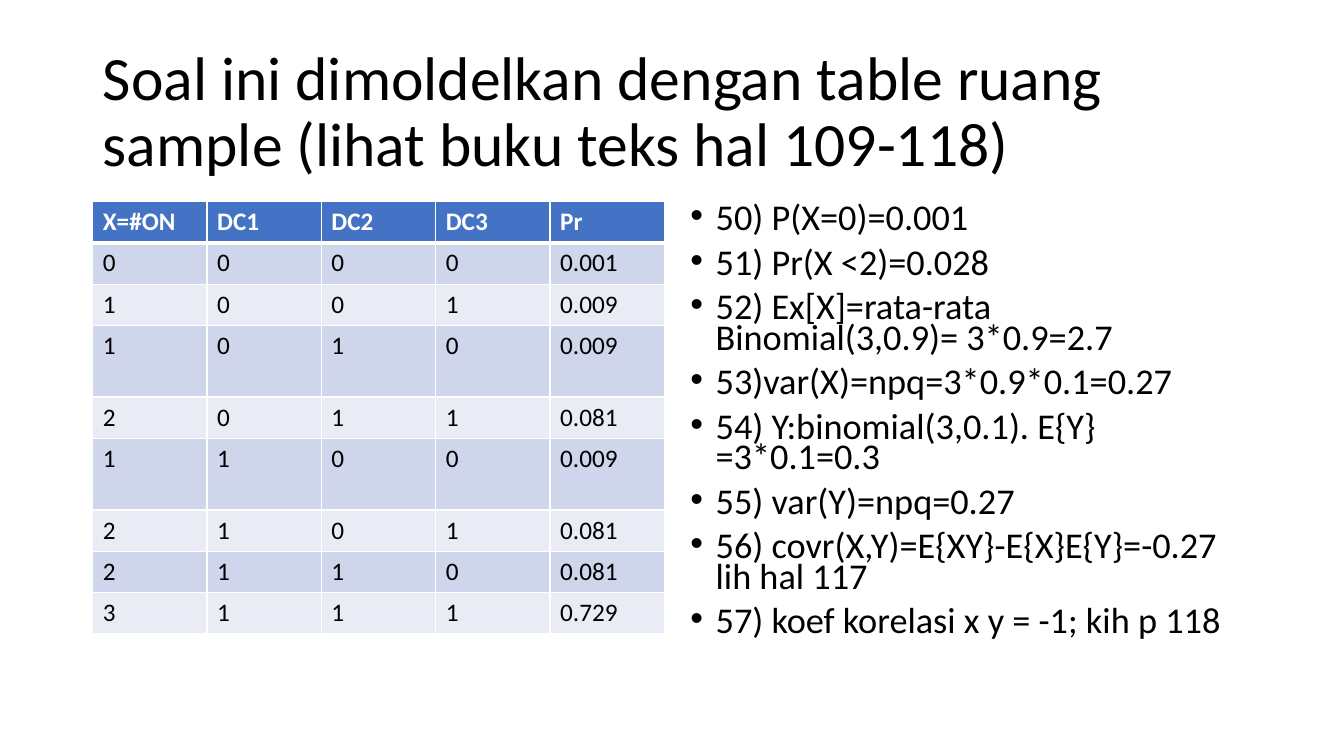
from lxml import etree
from pptx import Presentation
from pptx.dml.color import RGBColor
from pptx.enum.text import MSO_ANCHOR, MSO_AUTO_SIZE, PP_ALIGN
from pptx.oxml.ns import qn
from pptx.util import Inches, Pt

LEFT, MIDDLE, TOP = PP_ALIGN.LEFT, MSO_ANCHOR.MIDDLE, MSO_ANCHOR.TOP
NO_FIT = MSO_AUTO_SIZE.NONE
FONT = "Calibri"
COLORS = {"text": "000000", "white": "FFFFFF", "header": "4472C4",
          "band_dark": "CFD5EA", "band_light": "E9EBF5"}

# Two equal columns with a narrow gutter
MARGIN, COL_W, GUTTER = 0.92, 5.67, 0.16
CONTENT_TOP = 2
ROW_H, TALL_ROW_H = 0.41, 0.71
TALL_ROWS = (3, 5)

TITLE = "Soal ini dimoldelkan dengan table ruang sample (lihat buku teks hal 109-118)"
SAMPLE_SPACE = [
    ("X=#ON", "DC1", "DC2", "DC3", "Pr"),
    ("0", "0", "0", "0", "0.001"),
    ("1", "0", "0", "1", "0.009"),
    ("1", "0", "1", "0", "0.009"),
    ("2", "0", "1", "1", "0.081"),
    ("1", "1", "0", "0", "0.009"),
    ("2", "1", "0", "1", "0.081"),
    ("2", "1", "1", "0", "0.081"),
    ("3", "1", "1", "1", "0.729"),
]
ANSWERS = [
    "50) P(X=0)=0.001",
    "51) Pr(X <2)=0.028",
    "52) Ex[X]=rata-rata Binomial(3,0.9)= 3*0.9=2.7",
    "53)var(X)=npq=3*0.9*0.1=0.27",
    "54) Y:binomial(3,0.1). E{Y}=3*0.1=0.3",
    "55) var(Y)=npq=0.27",
    "56) covr(X,Y)=E{XY}-E{X}E{Y}=-0.27 lih hal 117",
    "57) koef korelasi x y = -1; kih p 118",
]


def rgb(name):
    return RGBColor.from_string(COLORS[name])


def style(p, size, color="text", bold=False):
    p.alignment = LEFT
    p.font.name, p.font.size, p.font.bold = FONT, Pt(size), bold
    p.font.color.rgb = rgb(color)


def set_title(s, text):
    sp = s.shapes.title
    sp.left, sp.top = Inches(MARGIN), Inches(0.4)
    sp.width, sp.height = Inches(11.5), Inches(1.45)
    tf = sp.text_frame
    tf.text, tf.word_wrap = text, True
    tf.auto_size, tf.vertical_anchor = NO_FIT, MIDDLE
    p = tf.paragraphs[0]
    p.line_spacing = 0.9
    style(p, 44)


def add_borders(cell, bottom):
    tc_pr = cell._tc.get_or_add_tcPr()
    for side, width in (("L", 1), ("R", 1), ("T", 1), ("B", bottom)):
        ln = etree.SubElement(tc_pr, qn(f"a:ln{side}"), w=str(Pt(width)))
        fill = etree.SubElement(ln, qn("a:solidFill"))
        etree.SubElement(fill, qn("a:srgbClr"), val=COLORS["white"])


def add_sample_table(s, rows, left, top, width):
    heights = [TALL_ROW_H if i in TALL_ROWS else ROW_H for i in range(len(rows))]
    table = s.shapes.add_table(len(rows), len(rows[0]), Inches(left), Inches(top),
                               Inches(width), Inches(sum(heights))).table
    for i, values in enumerate(rows):
        table.rows[i].height = Inches(heights[i])
        header = i == 0
        band = "header" if header else "band_dark" if i % 2 else "band_light"
        for j, value in enumerate(values):
            cell = table.cell(i, j)
            cell.text = value
            # A thicker rule separates the header from the first row
            add_borders(cell, 3 if header else 1)
            cell.fill.solid()
            cell.fill.fore_color.rgb = rgb(band)
            style(cell.text_frame.paragraphs[0], 18,
                  "white" if header else "text", header)


def add_bullet(p):
    p_pr = p._p.get_or_add_pPr()
    p_pr.set("marL", str(Inches(0.25)))
    p_pr.set("indent", str(-Inches(0.25)))
    etree.SubElement(p_pr, qn("a:buFont"), typeface="Arial")
    etree.SubElement(p_pr, qn("a:buChar"), char="•")


def add_bullet_list(s, items, left, top, width, height):
    tf = s.shapes.add_textbox(Inches(left), Inches(top),
                              Inches(width), Inches(height)).text_frame
    tf.word_wrap, tf.auto_size, tf.vertical_anchor = True, NO_FIT, TOP
    for i, item in enumerate(items):
        p = tf.add_paragraph() if i else tf.paragraphs[0]
        p.text = item
        add_bullet(p)
        p.line_spacing = 0.7
        p.space_before = Pt(10 if i else 0)
        style(p, 25.9)


def main():
    prs = Presentation()
    prs.slide_width, prs.slide_height = Inches(13.33), Inches(7.5)
    s = prs.slides.add_slide(prs.slide_layouts[5])
    set_title(s, TITLE)
    # Sample space on the left, answers on the right
    add_sample_table(s, SAMPLE_SPACE, MARGIN, CONTENT_TOP, COL_W)
    add_bullet_list(s, ANSWERS, MARGIN + COL_W + GUTTER, CONTENT_TOP, COL_W, 4.76)
    prs.save("out.pptx")


if __name__ == "__main__":
    main()
